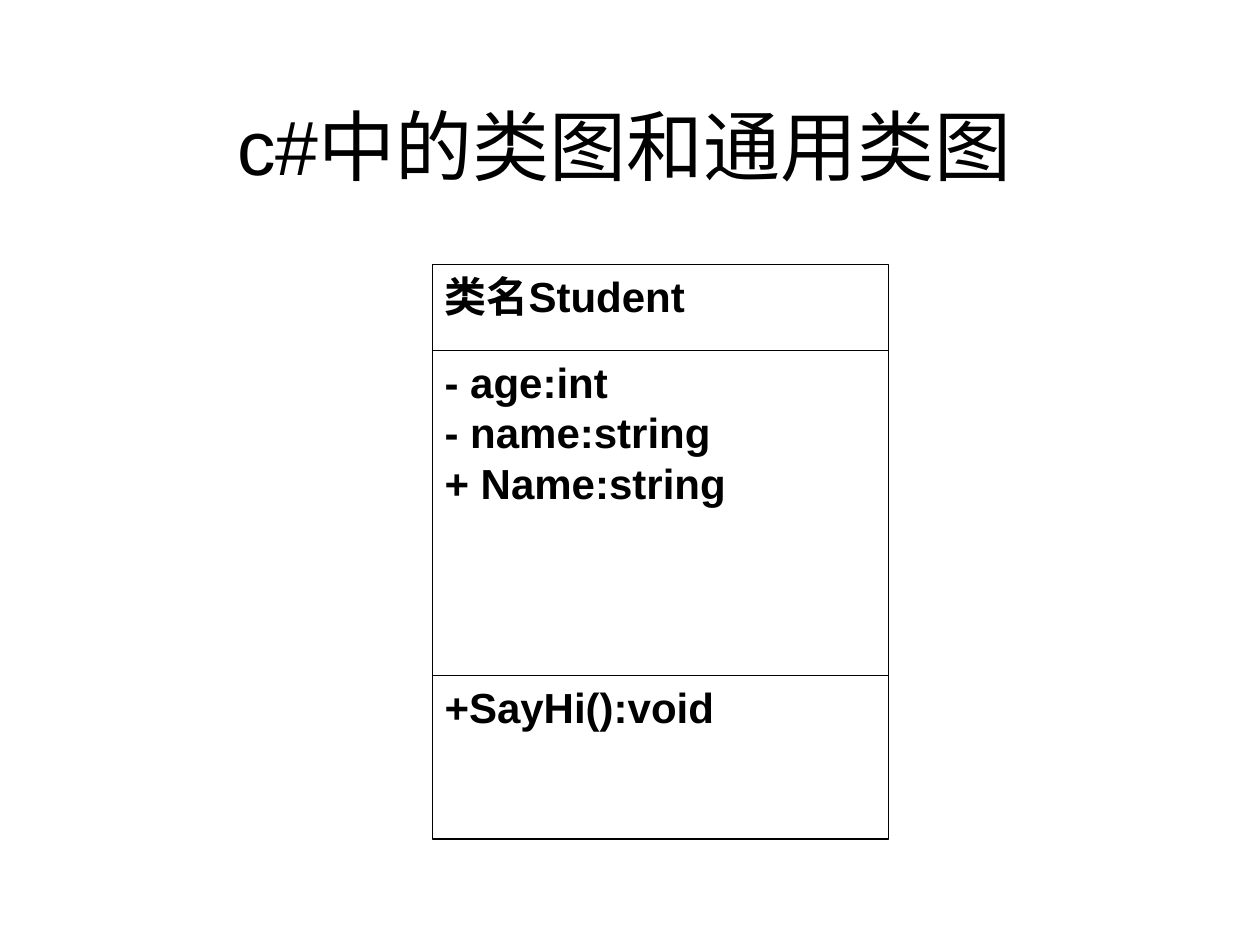
from pptx import Presentation
from pptx.dml.color import RGBColor
from pptx.enum.shapes import MSO_SHAPE
from pptx.enum.text import MSO_ANCHOR, PP_ALIGN
from pptx.util import Inches, Pt

# Content: each compartment is (height, lines)
TITLE = "c#中的类图和通用类图"
COMPARTMENTS = [
    (0.68, ["类名Student"]),
    (2.58, ["- age:int", "- name:string", "+ Name:string"]),
    (1.30, ["+SayHi():void"]),
]
CLASS_LEFT, CLASS_TOP, CLASS_WIDTH = 3.43, 2.1, 3.62

THEME = {
    "title": {"name": "Arial", "size": Pt(44), "bold": False},
    "member": {"name": "Arial", "size": Pt(24), "bold": True},
    "color": RGBColor(0, 0, 0),
    "line": Pt(0.74),
}


def add_line(p, text, style, align):
    p.alignment = align
    r = p.add_run()
    r.text = text
    for key, value in THEME[style].items():
        setattr(r.font, key, value)
    r.font.color.rgb = THEME["color"]


prs = Presentation()
prs.slide_width, prs.slide_height = Inches(10), Inches(7.5)
s = prs.slides.add_slide(prs.slide_layouts[5])

# Title
title = s.shapes.title
title.left, title.top = Inches(0.75), Inches(0.36)
title.width, title.height = Inches(8.42), Inches(1.57)
title.text_frame.vertical_anchor = MSO_ANCHOR.MIDDLE
add_line(title.text_frame.paragraphs[0], TITLE, "title", PP_ALIGN.CENTER)

# Class diagram: compartments stacked from the top down
top = CLASS_TOP
for height, lines in COMPARTMENTS:
    sp = s.shapes.add_shape(
        MSO_SHAPE.RECTANGLE, Inches(CLASS_LEFT), Inches(top),
        Inches(CLASS_WIDTH), Inches(height))
    sp.shadow.inherit = False
    sp.fill.background()
    sp.line.color.rgb = THEME["color"]
    sp.line.width = THEME["line"]
    tf = sp.text_frame
    tf.word_wrap = True
    tf.vertical_anchor = MSO_ANCHOR.TOP
    for i, text in enumerate(lines):
        p = tf.add_paragraph() if i else tf.paragraphs[0]
        add_line(p, text, "member", PP_ALIGN.LEFT)
    top += height

prs.save("out.pptx")
